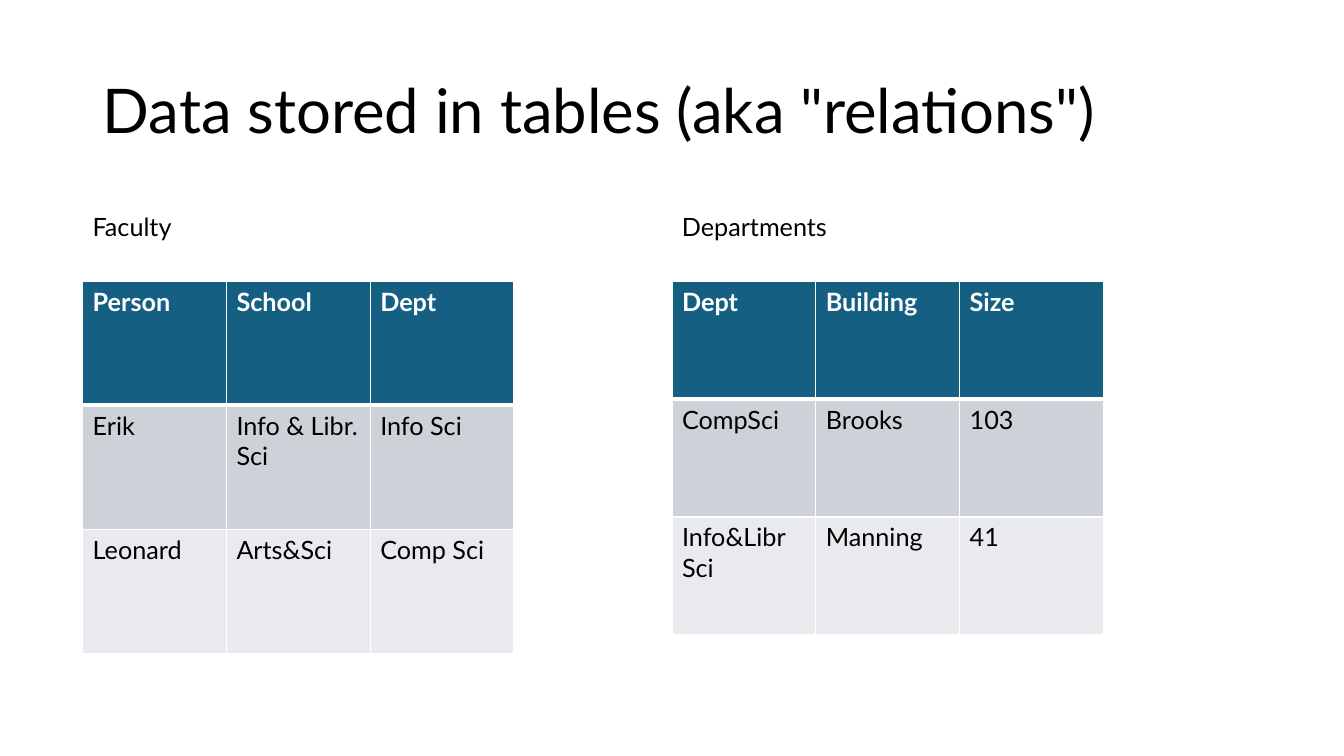
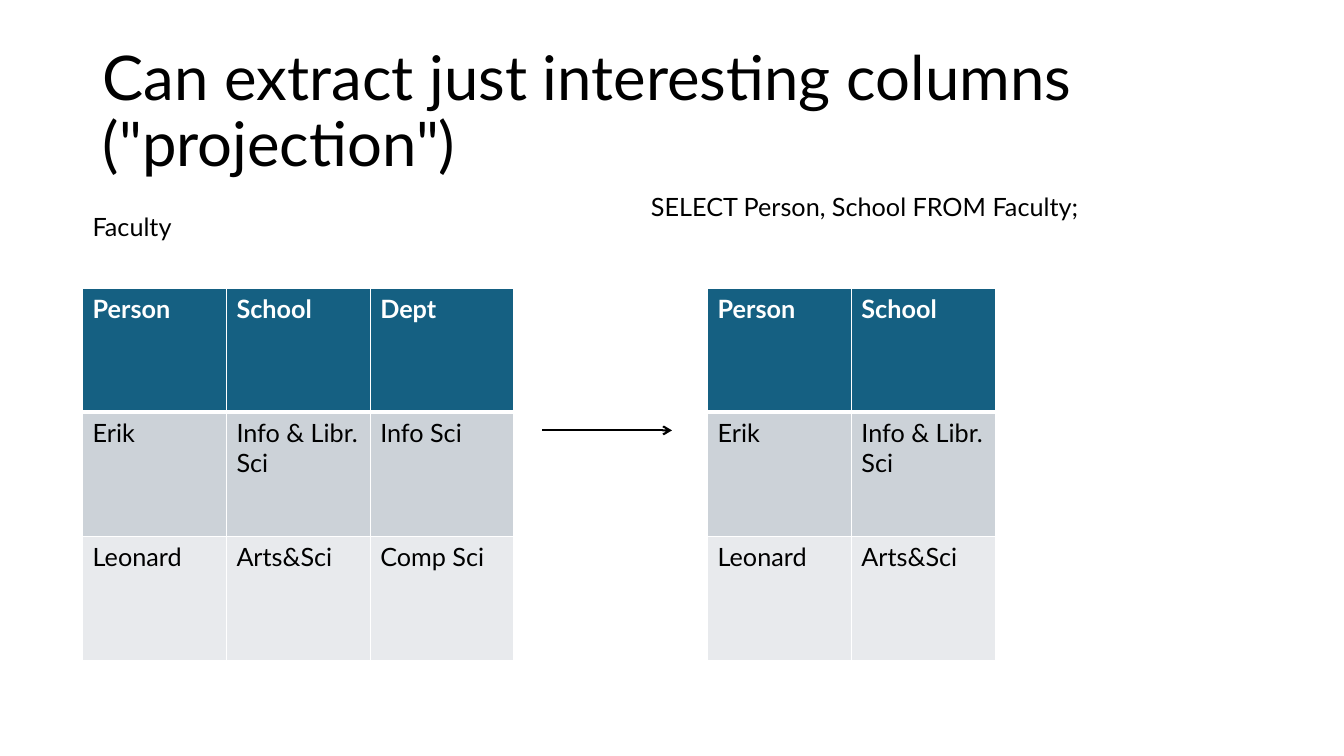
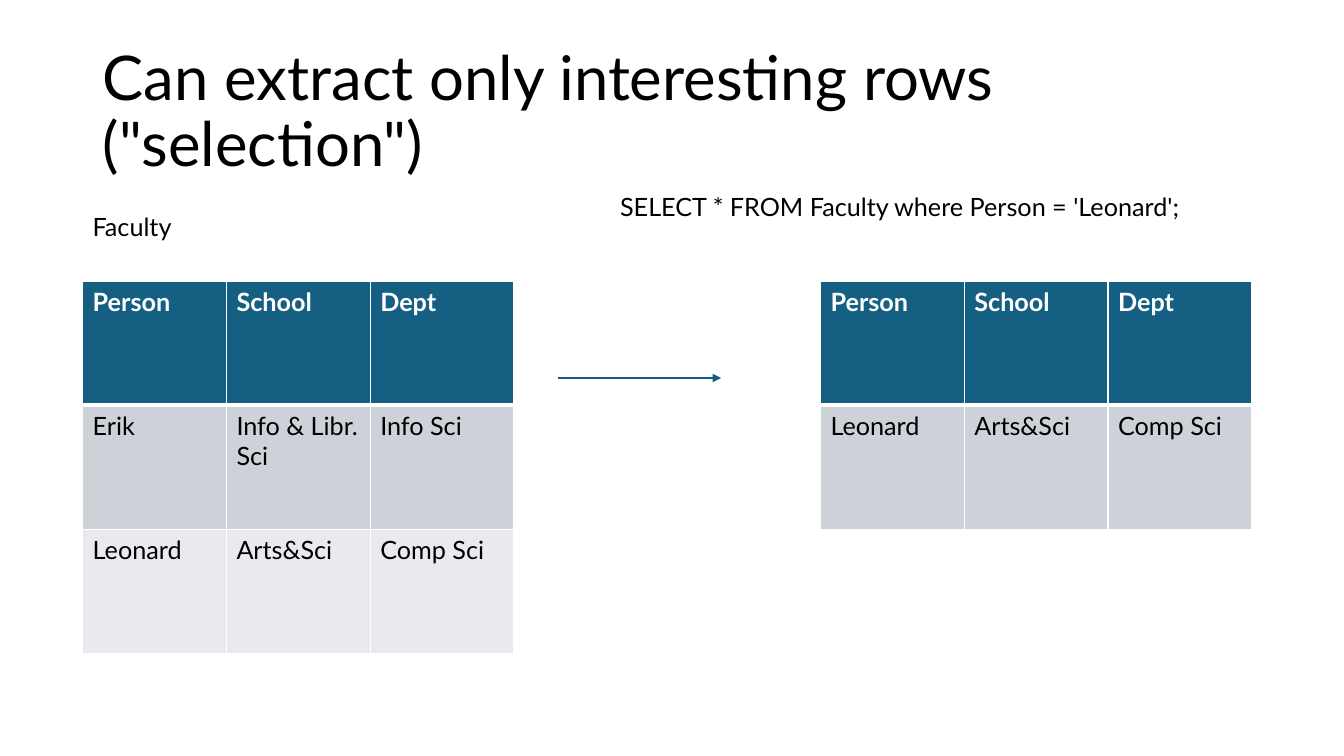
"""Slides on relations, projection and selection."""
import lxml.etree
import pptx
import pptx.dml.color
import pptx.enum.shapes
import pptx.enum.text
import pptx.oxml
import pptx.oxml.ns
import pptx.util

RGB = pptx.dml.color.RGBColor
BLACK = RGB(0x00, 0x00, 0x00)
WHITE = RGB(0xFF, 0xFF, 0xFF)
BLUE = RGB(0x15, 0x60, 0x82)
BANDS = (RGB(0xCC, 0xD2, 0xD8), RGB(0xE8, 0xEA, 0xED))
FONT = "Lato"

WIDE = pptx.util.Inches(13.33)
HIGH = pptx.util.Inches(7.5)
LEFT, MID = 6.15, 50
COL, ROW = 10.7, 16.4
TOP = 37.2

FACULTY = (
    ("Person", "School", "Dept"),
    ("Erik", "Info & Libr. Sci", "Info Sci"),
    ("Leonard", "Arts&Sci", "Comp Sci"),
)
UNITS = (
    ("Dept", "Building", "Size"),
    ("CompSci", "Brooks", "103"),
    ("Info&Libr Sci", "Manning", "41"),
)


def across(share):
    """Turn a percentage of the slide width into a length."""
    return round(WIDE * share / 100)


def down(share):
    """Turn a percentage of the slide height into a length."""
    return round(HIGH * share / 100)


def write(frame, text, size=18, color=BLACK, bold=False):
    """Put one styled, left-aligned paragraph in a text frame."""
    frame.text = text
    para = frame.paragraphs[0]
    para.alignment = pptx.enum.text.PP_ALIGN.LEFT
    font = para.font
    font.name, font.size, font.bold = FONT, pptx.util.Pt(size), bold
    font.color.rgb = color
    return para


def add_slide(deck, text):
    """Add a title-only slide with the shared title style."""
    slide = deck.slides.add_slide(deck.slide_layouts[5])
    title = slide.shapes.title
    title.left, title.top = across(6.9), down(5.33)
    title.width, title.height = across(86.25), down(19.33)
    frame = title.text_frame
    write(frame, text, 44).line_spacing = 0.9
    frame.word_wrap = True
    frame.auto_size = pptx.enum.text.MSO_AUTO_SIZE.NONE
    frame.vertical_anchor = pptx.enum.text.MSO_ANCHOR.MIDDLE
    return slide


def add_label(slide, text, left=LEFT, top=27.33, width=19.5):
    """Add a one-line caption or query."""
    box = slide.shapes.add_textbox(
        across(left), down(top), across(width), down(5.33))
    frame = box.text_frame
    frame.word_wrap = True
    frame.auto_size = pptx.enum.text.MSO_AUTO_SIZE.SHAPE_TO_FIT_TEXT
    write(frame, text)


def add_edge(cell, side, width):
    """Draw one white border of a cell."""
    edge = pptx.oxml.parse_xml(
        f'<a:ln{side} {pptx.oxml.ns.nsdecls("a")} w="{pptx.util.Pt(width)}">'
        f'<a:solidFill><a:srgbClr val="{WHITE}"/></a:solidFill></a:ln{side}>')
    cell._tc.get_or_add_tcPr().insert("LRTB".index(side), edge)


def add_grid(slide, data, left=LEFT, top=TOP, row=ROW):
    """Add a banded table with a dark header row."""
    rows, cols = len(data), len(data[0])
    table = slide.shapes.add_table(
        rows, cols, across(left), down(top),
        across(COL * cols), down(row * rows)).table
    for col in table.columns:
        col.width = across(COL)
    for r, line in enumerate(data):
        table.rows[r].height = down(row)
        for c, text in enumerate(line):
            cell, head = table.cell(r, c), r == 0
            write(cell.text_frame, text,
                  color=WHITE if head else BLACK, bold=head)
            cell.fill.solid()
            cell.fill.fore_color.rgb = BLUE if head else BANDS[(r - 1) % 2]
            for side in "LRTB":
                thick = (side, r) in (("B", 0), ("T", 1))
                add_edge(cell, side, 3 if thick else 1)


def add_arrow(slide, start, end, level, color, tip):
    """Add a level arrow pointing right."""
    arrow = slide.shapes.add_connector(
        pptx.enum.shapes.MSO_CONNECTOR.STRAIGHT,
        across(start), down(level), across(end), down(level))
    arrow.line.color.rgb = color
    arrow.line.width = pptx.util.Pt(1.5)
    name = pptx.oxml.ns.qn
    lxml.etree.SubElement(
        arrow.line._get_or_add_ln(), name("a:tailEnd"), type=tip)
    lxml.etree.SubElement(arrow._element.spPr, name("a:effectLst"))


def add_tables(deck):
    """Add the slide that shows both relations."""
    slide = add_slide(deck, 'Data stored in tables (aka "relations")')
    add_grid(slide, FACULTY)
    add_grid(slide, UNITS, MID, row=15.6)
    add_label(slide, "Faculty")
    add_label(slide, "Departments", MID, width=18.3)


def add_query(deck, title, query, place, width, data, left, top=TOP):
    """Add a slide with Faculty, a query and its result."""
    slide = add_slide(deck, title)
    add_grid(slide, FACULTY, top=top)
    add_label(slide, "Faculty")
    add_label(slide, query, place, 24.67, width)
    add_grid(slide, data, left, top)
    return slide


def main():
    """Build and save the slides."""
    deck = pptx.Presentation()
    deck.slide_width, deck.slide_height = WIDE, HIGH
    add_tables(deck)
    slide = add_query(
        deck, 'Can extract just interesting columns ("projection")',
        "SELECT Person, School FROM Faculty;", 47.7, 37.9,
        [line[:2] for line in FACULTY], 52.65, 38.13)
    add_arrow(slide, 40.35, MID, 56.93, BLACK, "arrow")
    slide = add_query(
        deck, 'Can extract only interesting rows ("selection")',
        "SELECT * FROM Faculty where Person = 'Leonard';", 45.4, 45,
        [line for line in FACULTY if line[0] in ("Person", "Leonard")], 61.05)
    add_arrow(slide, 41.55, 53.65, 50, BLUE, "triangle")
    deck.save("out.pptx")


if __name__ == "__main__":
    main()
